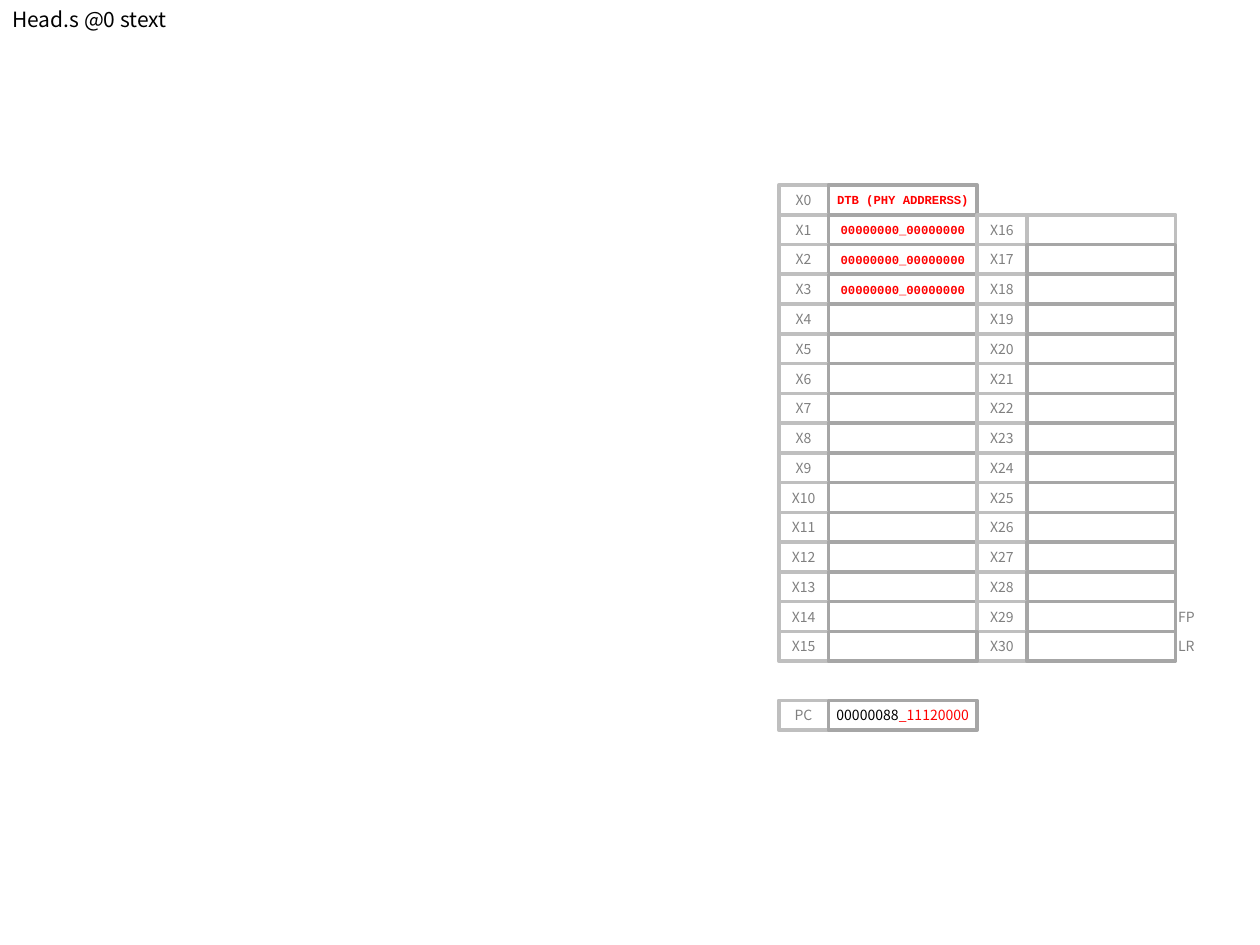
from dataclasses import dataclass

from pptx import Presentation
from pptx.dml.color import RGBColor
from pptx.enum.shapes import MSO_SHAPE
from pptx.enum.text import MSO_ANCHOR, MSO_AUTO_SIZE, PP_ALIGN
from pptx.util import Cm, Pt

RECT = MSO_SHAPE.RECTANGLE
LEFT, CENTER = PP_ALIGN.LEFT, PP_ALIGN.CENTER
TOP, MIDDLE = MSO_ANCHOR.TOP, MSO_ANCHOR.MIDDLE
FIT = MSO_AUTO_SIZE.SHAPE_TO_FIT_TEXT

SANS, MONO = "Noto Sans CJK KR", "Courier New"
BLACK, RED, GRAY = "000000", "FF0000", "808080"
LIGHT, DARK = "BFBFBF", "A6A6A6"

# Grid of registers, in centimetres
GRID_X, GRID_Y = 15.7, 3.73
NAME_W, VALUE_W, ROW_H = 1.0, 3.0, 0.6
PC_Y = 14.12
NOTE_X = 23.5

ZERO = "00000000_00000000"
VALUES = {0: "DTB (PHY ADDRERSS)", 1: ZERO, 2: ZERO, 3: ZERO}
NOTES = {29: "FP", 30: "LR"}


@dataclass
class Register:
    name: str
    x: float
    y: float
    value: str = ""
    line: str = DARK


def color(code: str) -> RGBColor:
    return RGBColor.from_string(code)


def write(shape, text: str, *, size: float = 8, font: str = SANS,
          fill: str = GRAY, bold: bool = False, align=CENTER,
          anchor=MIDDLE, inset: float = 0.1) -> None:
    """Append a run to the first paragraph and format the frame."""
    frame = shape.text_frame
    frame.word_wrap = True
    frame.vertical_anchor = anchor
    frame.margin_left = frame.margin_right = Cm(inset)
    para = frame.paragraphs[0]
    para.alignment = align
    run = para.add_run()
    run.text = text
    run.font.size = Pt(size)
    run.font.name = font
    run.font.bold = bold
    run.font.color.rgb = color(fill)


def add_box(group, x: float, y: float, width: float, line: str):
    box = group.shapes.add_shape(RECT, Cm(x), Cm(y), Cm(width), Cm(ROW_H))
    box.shadow.inherit = False
    box.fill.background()
    box.line.color.rgb = color(line)
    box.line.width = Pt(2)
    return box


def add_register(group, reg: Register):
    """Draw the name and value boxes and return the value box."""
    write(add_box(group, reg.x, reg.y, NAME_W, LIGHT), reg.name)
    cell = add_box(group, reg.x + NAME_W, reg.y, VALUE_W, reg.line)
    if reg.value:
        write(cell, reg.value, size=7, font=MONO, fill=RED, bold=True)
    return cell


def add_note(group, text: str, y: float) -> None:
    note = group.shapes.add_textbox(Cm(NOTE_X), Cm(y), Cm(NAME_W), Cm(ROW_H))
    write(note, text, align=LEFT, inset=0.25)


def row_top(num: int) -> float:
    """X16 to X30 stand beside X1 to X15."""
    return GRID_Y + ROW_H * (num if num < 16 else num - 15)


def main() -> None:
    deck = Presentation()
    deck.slide_width, deck.slide_height = Cm(25.4), Cm(19.05)
    slide = deck.slides.add_slide(deck.slide_layouts[5])

    title = slide.shapes.title
    title.left, title.top = Cm(0), Cm(0)
    title.width, title.height = Cm(7.5), Cm(0.77)
    write(title, "Head.s @0 stext", size=12, fill=BLACK, align=LEFT,
          anchor=TOP, inset=0.25)
    title.text_frame.auto_size = FIT

    bank = slide.shapes.add_group_shape()
    for num in [*range(15), *range(16, 31), 15]:
        left = GRID_X + (NAME_W + VALUE_W) * (num // 16)
        line = LIGHT if num == 16 else DARK
        add_register(bank, Register(f"X{num}", left, row_top(num),
                                    VALUES.get(num, ""), line))
    for num, text in NOTES.items():
        add_note(bank, text, row_top(num))

    count = slide.shapes.add_group_shape()
    cell = add_register(count, Register("PC", GRID_X, PC_Y))
    write(cell, "00000088", fill=BLACK)
    write(cell, "_11120000", fill=RED)

    deck.save("out.pptx")


if __name__ == "__main__":
    main()
